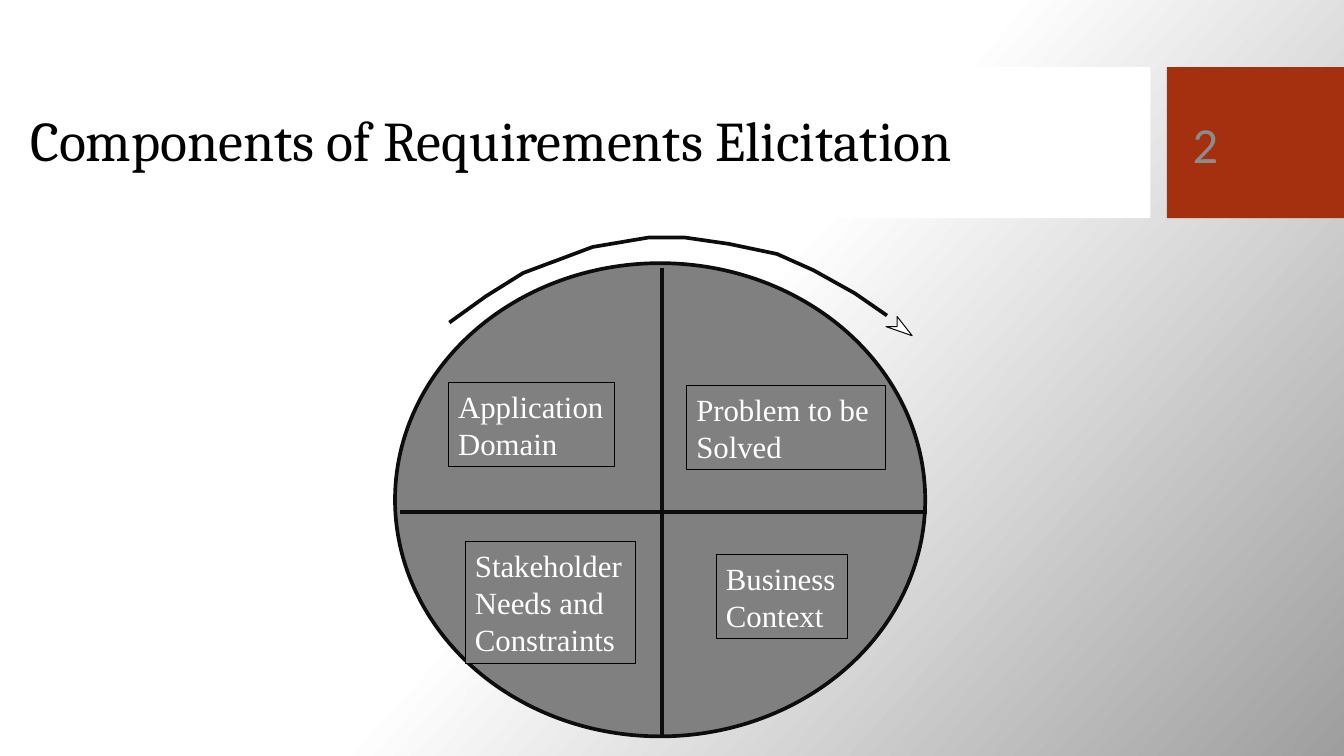
"""Build the slide on the components of requirements elicitation."""
from copy import deepcopy
from pptx import Presentation
from pptx.dml.color import RGBColor as RGB
from pptx.enum.shapes import MSO_CONNECTOR as Link, MSO_SHAPE as Form
from pptx.enum.text import MSO_ANCHOR as Anchor, MSO_AUTO_SIZE as Auto, PP_ALIGN as Align
from pptx.oxml.ns import qn
from pptx.oxml.xmlchemy import OxmlElement as Node
from pptx.util import Pt

theme = {
    "white": RGB.from_string("FFFFFF"), "shade": RGB.from_string("9E9E9E"),
    "red": RGB.from_string("A5300F"), "gray": RGB.from_string("808080"),
    "ink": RGB.from_string("0D0D0D"), "black": RGB.from_string("000000"),
    "pale": RGB.from_string("8C8C8C"),
    "title": {"name": "Cambria", "size": Pt(40), "color": "black"},
    "number": {"name": "Calibri", "size": Pt(36), "color": "pale"},
    "label": {"name": "Times New Roman", "size": Pt(22), "color": "white"},
    "thick": 2.63, "thin": 0.75,
}


def paint(shape, fill=None, line=None, width=None):
    shape.shadow.inherit = False
    if fill:
        shape.fill.solid()
        shape.fill.fore_color.rgb = theme[fill]
    else:
        shape.fill.background()
    if line:
        shape.line.color.rgb = theme[line]
        shape.line.width = Pt(theme[width])
    else:
        shape.line.fill.background()


def write(shape, text, style, frame):
    body = shape.text_frame
    for key, value in frame.items():
        setattr(body, key, value)
    body.text = text
    for para in body.paragraphs:
        para.alignment = Align.LEFT
        for key, value in theme[style].items():
            if key == "color":
                para.font.color.rgb = theme[value]
            else:
                setattr(para.font, key, value)


deck = Presentation()
deck.slide_width, deck.slide_height = Pt(960), Pt(540)
slide = deck.slides.add_slide(deck.slide_layouts[6])
shapes = slide.shapes

back = slide.background.fill
back.gradient()
back.gradient_angle = 318
for stop, tone in zip(back.gradient_stops, ("white", "shade")):
    stop.color.rgb = theme[tone]
first, last = slide.element.iter(qn("a:gs"))
first.addnext(deepcopy(first))
for stop, place in zip(back.gradient_stops, (0, 0.5, 1)):
    stop.position = place

for left, width, fill in ((0, 821.8, "white"), (833.5, 126.5, "red")):
    band = shapes.add_shape(Form.RECTANGLE, Pt(left), Pt(48), Pt(width), Pt(107.8))
    paint(band, fill)

heads = (
    ("Components of Requirements Elicitation", "title", (14.4, 42.5, 756.7, 85), Anchor.BOTTOM, 0.9),
    ("2", "number", (844.8, 59.3, 90.7, 85.7), Anchor.MIDDLE, 1.0),
)
for text, style, box, anchor, space in heads:
    head = shapes.add_textbox(*map(Pt, box))
    write(head, text, style, {"word_wrap": True, "vertical_anchor": anchor})
    head.text_frame.paragraphs[0].line_spacing = space

wheel = shapes.add_shape(Form.OVAL, Pt(282.2), Pt(188), Pt(378.7), Pt(338))
paint(wheel, "gray", "ink", "thick")

for ends in ((473, 191.5, 473, 525), (286, 365.6, 662, 365.6)):
    spoke = shapes.add_connector(Link.STRAIGHT, *map(Pt, ends))
    spoke.line.color.rgb = theme["ink"]
    spoke.line.width = Pt(theme["thick"])
    spoke._element.spPr.append(Node("a:effectLst"))

arc = ((321, 230.4), (347, 211.7), (373.7, 195), (423.4, 176.4), (463, 169.7), (489.6, 169.7),
       (520.6, 174.2), (555, 181.4), (581, 193), (610.6, 209.5), (633.6, 225.4))
tip = ((640.8, 233.3), (640.8, 226), (651.6, 239.8), (632.9, 233.3))
for points, closed, style in (
    (arc, False, (None, "ink", "thick")),
    (tip, True, ("white", "ink", "thin")),
):
    start, *rest = [tuple(map(Pt, point)) for point in points]
    path = shapes.build_freeform(*start, scale=1.0)
    path.add_line_segments(rest, close=closed)
    paint(path.convert_to_shape(), *style)

labels = (
    ("Business\nContext", (511.5, 396, 94, 60)),
    ("Stakeholder\nNeeds and\nConstraints", (332.2, 387, 121.7, 87)),
    ("Application\nDomain", (320.2, 273.2, 119, 60)),
    ("Problem to be\nSolved", (490.3, 275.4, 142.4, 60)),
)
for text, box in labels:
    label = shapes.add_shape(Form.RECTANGLE, *map(Pt, box))
    paint(label, "gray", "black", "thin")
    write(label, text, "label", {"word_wrap": False, "auto_size": Auto.SHAPE_TO_FIT_TEXT,
                                 "vertical_anchor": Anchor.TOP})

deck.save("out.pptx")
